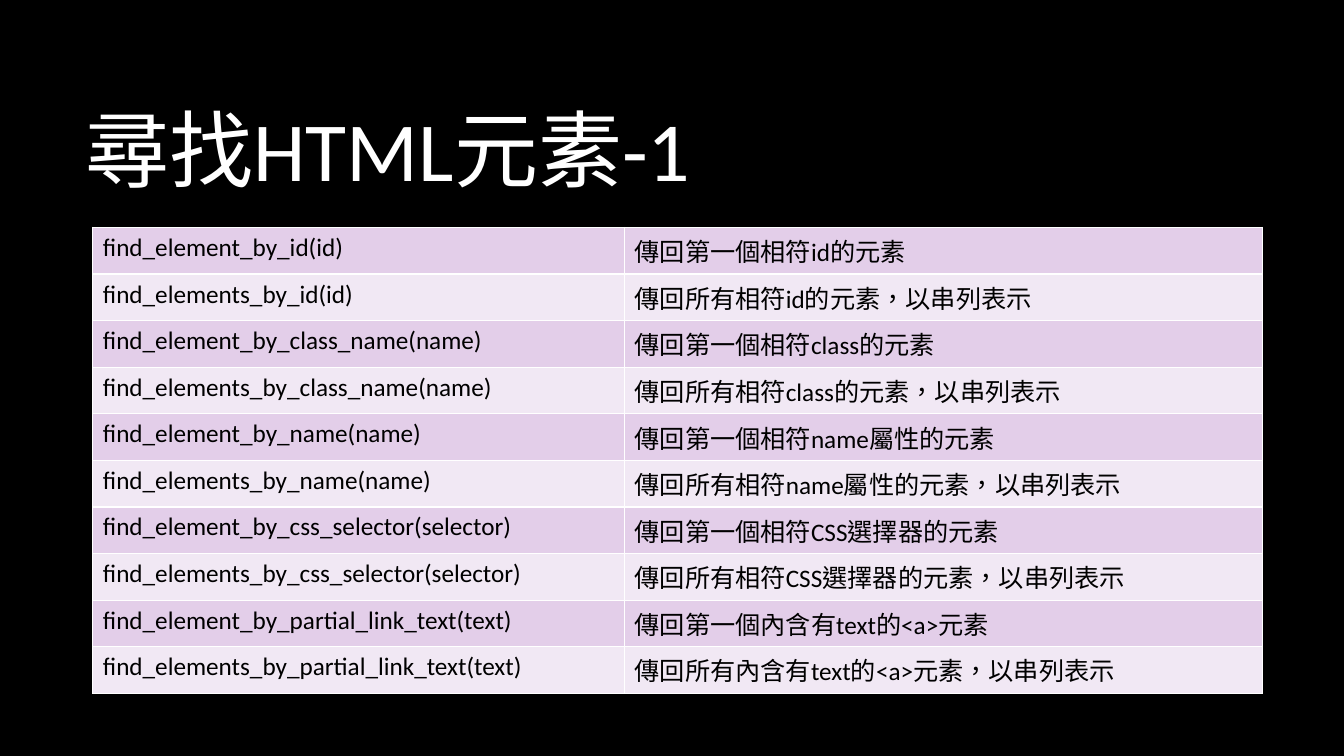
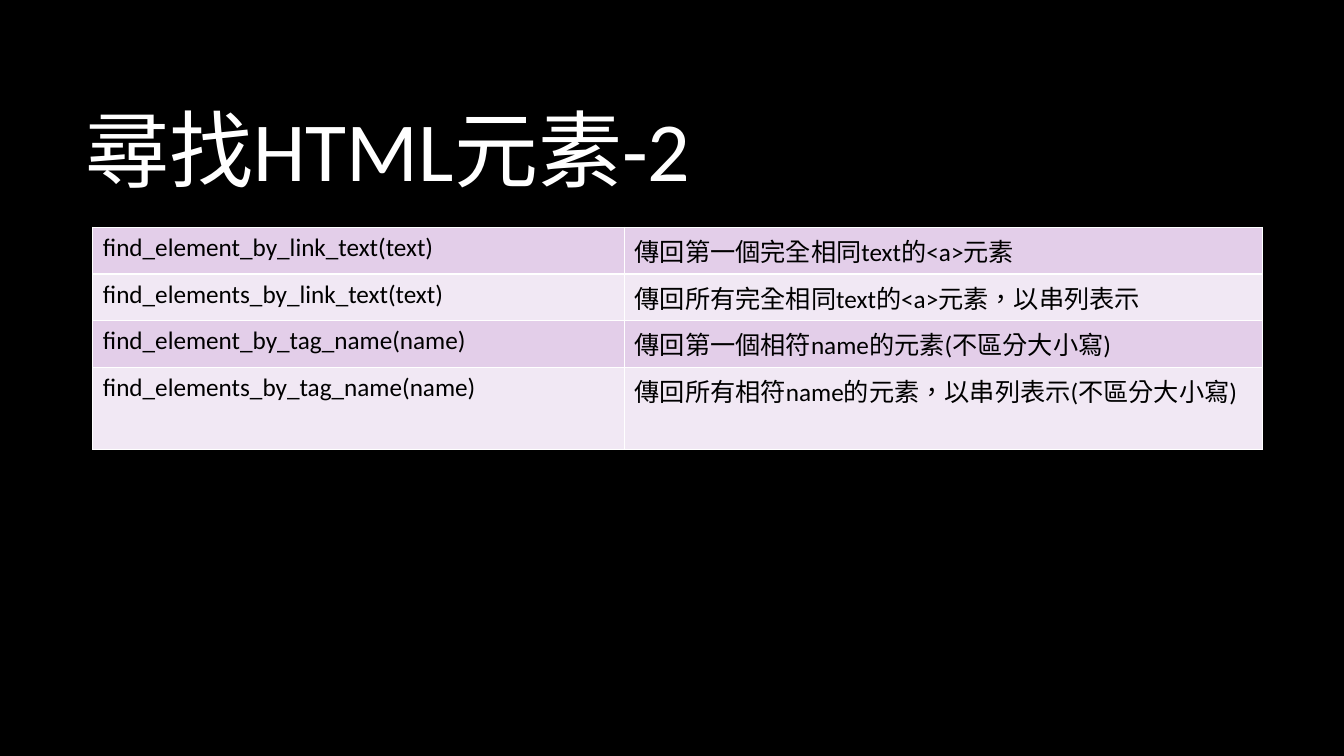
from lxml.etree import SubElement
from pptx import Presentation
from pptx.dml.color import RGBColor
from pptx.enum.lang import MSO_LANGUAGE_ID as Language
from pptx.enum.text import MSO_ANCHOR as Anchor
from pptx.oxml.ns import qn
from pptx.util import Cm, Pt

BLACK = RGBColor(0x00, 0x00, 0x00)
WHITE = RGBColor(0xFF, 0xFF, 0xFF)
LILAC = RGBColor(0xE3, 0xCE, 0xE9)
PALE_LILAC = RGBColor(0xF1, 0xE8, 0xF4)

# Slide titles and their rows: method, description
SLIDES = [
    ("尋找HTML元素-1", [
        ("find_element_by_id(id)", "傳回第一個相符id的元素"),
        ("find_elements_by_id(id)", "傳回所有相符id的元素，以串列表示"),
        ("find_element_by_class_name(name)", "傳回第一個相符class的元素"),
        ("find_elements_by_class_name(name)", "傳回所有相符class的元素，以串列表示"),
        ("find_element_by_name(name)", "傳回第一個相符name屬性的元素"),
        ("find_elements_by_name(name)", "傳回所有相符name屬性的元素，以串列表示"),
        ("find_element_by_css_selector(selector)", "傳回第一個相符CSS選擇器的元素"),
        ("find_elements_by_css_selector(selector)", "傳回所有相符CSS選擇器的元素，以串列表示"),
        ("find_element_by_partial_link_text(text)", "傳回第一個內含有text的<a>元素"),
        ("find_elements_by_partial_link_text(text)", "傳回所有內含有text的<a>元素，以串列表示"),
    ]),
    ("尋找HTML元素-2", [
        ("find_element_by_link_text(text)", "傳回第一個完全相同text的<a>元素"),
        ("find_elements_by_link_text(text)", "傳回所有完全相同text的<a>元素，以串列表示"),
        ("find_element_by_tag_name(name)", "傳回第一個相符name的元素(不區分大小寫)"),
        ("find_elements_by_tag_name(name)", "傳回所有相符name的元素，以串列表示(不區分大小寫)"),
    ]),
]


class Deck:
    """Holds the shared style and the current slide."""

    font = "Calibri"
    title_size, cell_size = Pt(60), Pt(18)
    column_widths = (Cm(13.4), Cm(16.08))
    row_height = Cm(11.74) // 10  # ten rows fill the full table
    extra_line = Cm(0.91)
    line_length = 26  # longest description that fits on one line
    bands = (LILAC, PALE_LILAC)

    def __init__(self):
        self.presentation = Presentation()
        self.presentation.slide_width = Cm(33.87)
        self.presentation.slide_height = Cm(19.05)
        self.slide = None

    def add_slide(self):
        blank = self.presentation.slide_layouts[6]
        self.slide = self.presentation.slides.add_slide(blank)
        background = self.slide.background.fill
        background.solid()
        background.fore_color.rgb = BLACK

    def add_run(self, paragraph, text, size, color):
        run = paragraph.add_run()
        run.text = text
        run.font.name = self.font
        run.font.size = size
        run.font.color.rgb = color
        run.font.language_id = Language.TRADITIONAL_CHINESE

    def add_title(self, text):
        box = self.slide.shapes.add_textbox(Cm(1.91), Cm(1.7), Cm(28.15), Cm(4.04))
        frame = box.text_frame
        frame.word_wrap = True
        frame.vertical_anchor = Anchor.MIDDLE
        self.add_run(frame.paragraphs[0], text, self.title_size, WHITE)

    def add_table(self, rows):
        heights = [self.height_for(description) for _, description in rows]
        shape = self.slide.shapes.add_table(
            len(rows), len(self.column_widths), Cm(2.34), Cm(5.73),
            sum(self.column_widths), sum(heights))
        table = shape.table
        table.first_row = table.horz_banding = False
        for column, width in zip(table.columns, self.column_widths):
            column.width = width
        for row_index, texts in enumerate(rows):
            table.rows[row_index].height = heights[row_index]
            band = self.bands[row_index % len(self.bands)]
            for column_index, text in enumerate(texts):
                self.fill_cell(table.cell(row_index, column_index), text, band)

    def height_for(self, description):
        wraps = len(description) > self.line_length
        return self.row_height + (self.extra_line if wraps else 0)

    def fill_cell(self, cell, text, color):
        self.add_borders(cell)
        cell.fill.solid()
        cell.fill.fore_color.rgb = color
        self.add_run(cell.text_frame.paragraphs[0], text, self.cell_size, BLACK)

    @staticmethod
    def add_borders(cell):
        properties = cell._tc.get_or_add_tcPr()
        for side in ("a:lnL", "a:lnR", "a:lnT", "a:lnB"):
            line = SubElement(properties, qn(side), w=str(Pt(1)))
            fill = SubElement(line, qn("a:solidFill"))
            SubElement(fill, qn("a:srgbClr"), val=str(WHITE))


def main():
    deck = Deck()
    for title, rows in SLIDES:
        deck.add_slide()
        deck.add_title(title)
        deck.add_table(rows)
    deck.presentation.save("out.pptx")


if __name__ == "__main__":
    main()
